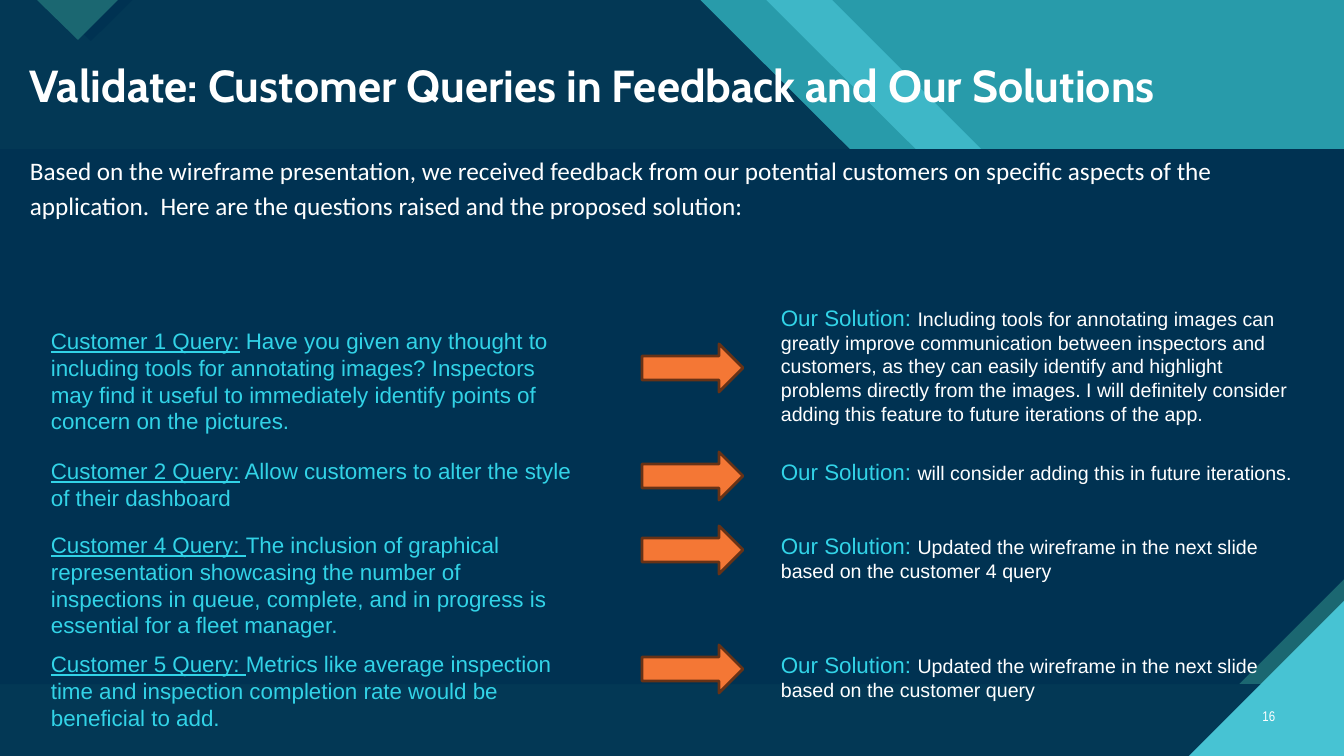
from dataclasses import dataclass

from lxml import etree
from pptx import Presentation, util as u
from pptx.dml import color
from pptx.enum import shapes, text
from pptx.oxml import ns

W, H = 1344, 756
SCALE = u.Inches(1) / 100.8


def px(n):
    return u.Emu(round(n * SCALE))


@dataclass(frozen=True)
class Theme:
    navy: str = "003252"
    deep_teal: str = "1B6771"
    teal: str = "289BAA"
    aqua: str = "47C3D3"
    cyan: str = "32D3E7"
    orange: str = "F47735"
    brown: str = "673216"
    white: str = "FFFFFF"
    heading: str = "Cabin"
    intro: str = "Calibri"
    body: str = "Arial"
    number: str = "Arial Narrow"
    title_size: int = 32
    intro_size: int = 18
    label_size: int = 16
    answer_size: int = 14
    number_size: int = 10


class Deck:
    def __init__(self, theme):
        self.theme = theme
        self.prs = Presentation()
        self.prs.slide_width, self.prs.slide_height = px(W), px(H)
        self.s = self.prs.slides.add_slide(self.prs.slide_layouts[5])

    def background(self, rgb):
        fill = self.s.background.fill
        fill.solid()
        fill.fore_color.rgb = color.RGBColor.from_string(rgb)

    def paint(self, sp, rgb, alpha=100):
        sp.shadow.inherit = False
        sp.fill.solid()
        sp.fill.fore_color.rgb = color.RGBColor.from_string(rgb)
        sp.line.fill.background()
        if alpha < 100:
            clr = sp.element.spPr.find(".//" + ns.qn("a:srgbClr"))
            etree.SubElement(clr, ns.qn("a:alpha"), val=str(alpha * 1000))

    def polygon(self, points, rgb, alpha=100):
        builder = self.s.shapes.build_freeform(*points[0], scale=SCALE)
        builder.add_line_segments(points[1:], close=True)
        self.paint(builder.convert_to_shape(), rgb, alpha)

    def rect(self, x, y, w, h, rgb):
        sp = self.s.shapes.add_shape(shapes.MSO_SHAPE.RECTANGLE, px(x), px(y), px(w), px(h))
        self.paint(sp, rgb)

    def arrow(self, x, y, w, h):
        sp = self.s.shapes.add_shape(shapes.MSO_SHAPE.RIGHT_ARROW, px(x), px(y), px(w), px(h))
        self.paint(sp, self.theme.orange)
        sp.line.color.rgb = color.RGBColor.from_string(self.theme.brown)
        sp.line.width = u.Pt(2)

    def style(self, font, name=None, size=None, rgb=None):
        if name:
            font.name = name
        if size:
            font.size = u.Pt(size)
        if rgb:
            font.color.rgb = color.RGBColor.from_string(rgb)

    def title(self, x, y, w, h, words):
        sp = self.s.shapes.title
        sp.element.getparent().append(sp.element)
        sp.left, sp.top, sp.width, sp.height = px(x), px(y), px(w), px(h)
        tf = sp.text_frame
        tf.text = words
        tf.word_wrap = True
        tf.auto_size = text.MSO_AUTO_SIZE.NONE
        tf.vertical_anchor = text.MSO_ANCHOR.MIDDLE
        p = tf.paragraphs[0]
        p.alignment = text.PP_ALIGN.LEFT
        p.line_spacing = 0.9
        self.style(p.font, self.theme.heading, self.theme.title_size, self.theme.white)
        p.font.bold = True

    def text(self, x, y, w, h, words, name, size, rgb):
        sp = self.s.shapes.add_textbox(px(x), px(y), px(w), px(h))
        tf = sp.text_frame
        tf.word_wrap = True
        p = tf.paragraphs[0]
        self.style(p.font, name, size, rgb)
        for part in words:
            p.add_run().text = part
        return tf

    def query(self, x, y, w, h, label, words):
        t = self.theme
        tf = self.text(x, y, w, h, [label, words], t.body, t.label_size, t.cyan)
        tf.paragraphs[0].runs[0].font.underline = True

    def solution(self, x, y, w, h, words):
        t = self.theme
        tf = self.text(x, y, w, h, ["Our Solution: ", words], t.body, None, None)
        label, answer = tf.paragraphs[0].runs
        self.style(label.font, size=t.label_size, rgb=t.cyan)
        self.style(answer.font, size=t.answer_size, rgb=t.white)


ROWS = [
    (322, 118, 344, 299, 159, "Customer 1 Query:",
     " Have you given any thought to including tools for annotating images? Inspectors may find it "
     "useful to immediately identify points of concern on the pictures.",
     "Including tools for annotating images can greatly improve communication between inspectors and "
     "customers, as they can easily identify and highlight problems directly from the images. I will "
     "definitely consider adding this feature to future iterations of the app."),
    (452, 64, 452, 453, 37, "Customer 2 Query:",
     " Allow customers to alter the style of their dashboard",
     "will consider adding this in future iterations."),
    (526, 118, 526, 527, 61, "Customer 4 Query: ",
     "The inclusion of graphical representation showcasing the number of inspections in queue, "
     "complete, and in progress is essential for a fleet manager.",
     "Updated the wireframe in the next slide based on the customer 4 query"),
    (645, 91, 645, 646, 61, "Customer 5 Query: ",
     "Metrics like average inspection time and inspection completion rate would be beneficial to add.",
     "Updated the wireframe in the next slide based on the customer query"),
]


def band(top_x, bend_x, shelf_x, edge_y):
    return [(0, 0), (top_x, 0), (bend_x, 299), (shelf_x, 299), (W, edge_y), (W, H), (0, H)]


def main():
    t = Theme()
    deck = Deck(t)
    deck.background(t.aqua)

    deck.rect(0, 0, W, H, t.teal)
    deck.polygon(band(832, 1131, 1244, 400), t.aqua, 72)
    deck.polygon(band(766, 1066, 1193, 450), t.teal)
    deck.polygon(band(700, 1000, 1127, 517), t.deep_teal)
    deck.polygon(band(700, 1000, 1127, 517), t.navy, 88)
    deck.polygon([(48, 0), (132, 0), (91, 41)], t.navy)
    deck.polygon([(37, 0), (118, 0), (78, 40)], t.deep_teal)

    top, bottom, snip = 149, 684, 105
    deck.rect(0, top, W, bottom - top, t.deep_teal)
    deck.polygon([(0, top), (W, top), (W, bottom - snip), (W - snip, bottom), (0, bottom)], t.navy)
    deck.polygon([(W - 155, H), (W, H), (W, H - 155)], t.aqua)

    deck.title(19, 58, 1325, 59, "Validate: Customer Queries in Feedback and Our Solutions")
    number = deck.text(1241, 696, 44, 40, ["16"], t.number, t.number_size, t.white)
    number.vertical_anchor = text.MSO_ANCHOR.MIDDLE
    number.paragraphs[0].alignment = text.PP_ALIGN.RIGHT
    intro = deck.text(
        20, 146, 1296, 110,
        ["Based on the wireframe presentation, we received feedback from our potential customers on "
         "specific aspects of the application.  Here are the questions raised and the proposed solution:"],
        t.intro, t.intro_size, t.white)
    intro.paragraphs[0].line_spacing = 1.15

    for query_y, query_h, arrow_y, solution_y, solution_h, label, query, solution in ROWS:
        deck.query(41, query_y, 546, query_h, label, query)
        deck.solution(771, solution_y, 546, solution_h, solution)
        deck.arrow(642, arrow_y, 101, 48)

    deck.prs.save("out.pptx")


if __name__ == "__main__":
    main()
